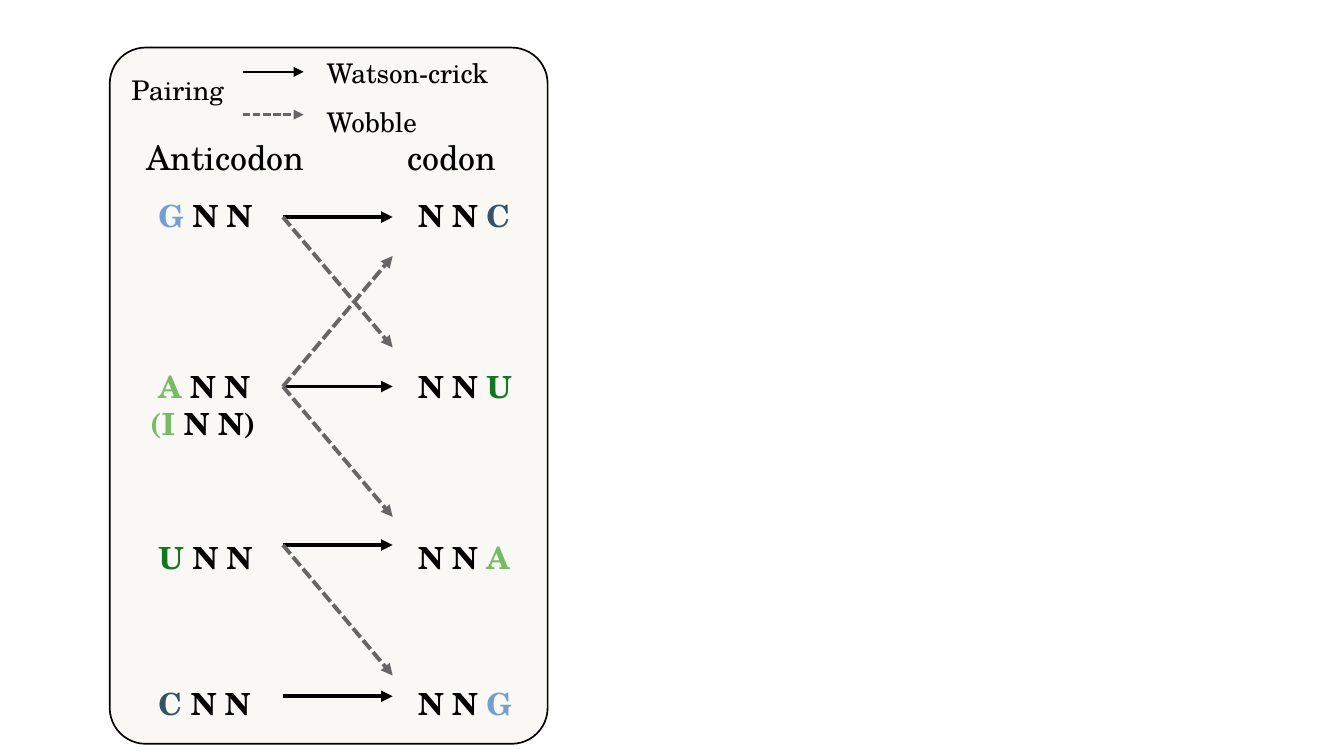
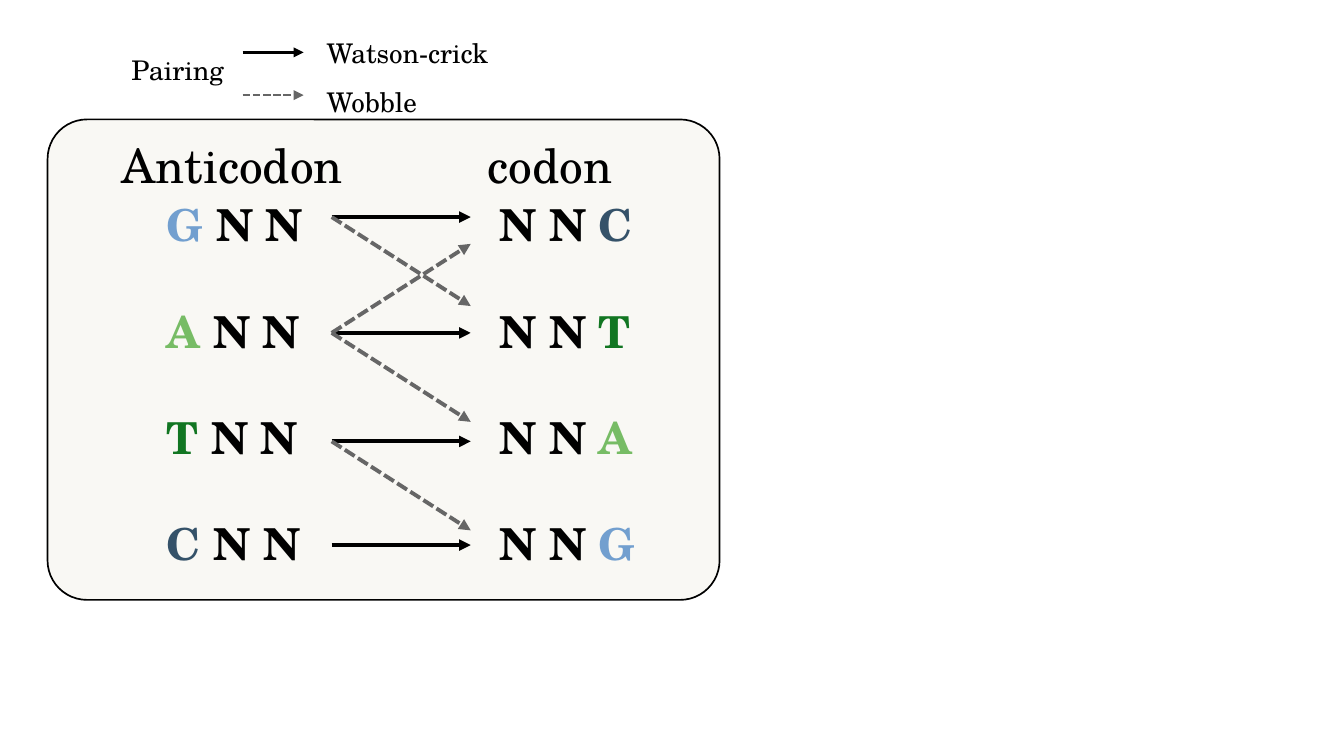
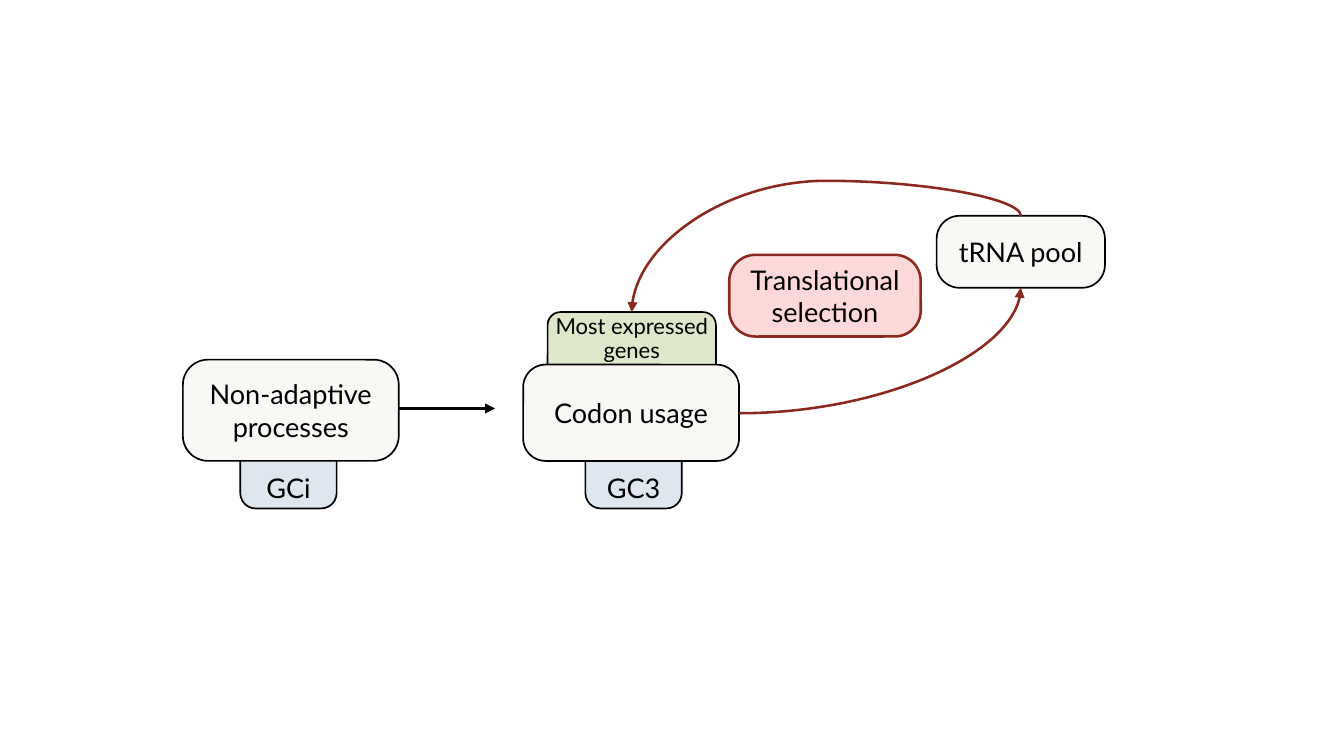
from dataclasses import dataclass

from lxml.etree import SubElement
from pptx import Presentation
from pptx.dml.color import RGBColor
from pptx.enum.dml import MSO_LINE
from pptx.enum.shapes import MSO_CONNECTOR, MSO_SHAPE
from pptx.enum.text import MSO_ANCHOR, PP_ALIGN
from pptx.oxml.ns import qn
from pptx.util import Inches, Pt

COLORS = {
    "ink": "000000", "wobble": "666666", "panel": "F9F8F4",
    "green": "DDE8CB", "blue": "DEE6EF", "pink": "FFD7D7", "red": "8D281E",
    "G": "729FCF", "C": "355269", "A": "77BC65", "I": "77BC65",
    "U": "127622", "T": "127622",
}
SERIF, SANS = "TeX Gyre Schola", "Lato"
# Row of the anticodon and direction of each wobble arrow
WOBBLES = [(0, 1), (1, 1), (1, -1), (2, 1)]


@dataclass
class PairingLayout:
    """Lengths in inches, measured from the panel's top left corner."""
    heading_xs: tuple
    heading_y: float
    heading_size: int
    triplet_xs: tuple
    triplet_size: int
    triplet_rows: list
    arrow_x: float
    arrow_width: float
    arrow_rows: list
    wobble_rise: float


def rgb(name):
    return RGBColor.from_string(COLORS[name])


def add_span(para, text, size, font, color="ink", bold=False):
    span = para.add_run()
    span.text = text
    span.font.size = Pt(size)
    span.font.name = font
    span.font.bold = bold
    span.font.color.rgb = rgb(color)


def add_text(page, x, y, width, height, lines, size, bold=False,
             spacing=None, anchor=MSO_ANCHOR.TOP):
    """Each line is a list of (text, color) runs."""
    box = page.shapes.add_textbox(*map(Inches, (x, y, width, height)))
    frame = box.text_frame
    frame.word_wrap = True
    frame.vertical_anchor = anchor
    for index, runs in enumerate(lines):
        para = frame.add_paragraph() if index else frame.paragraphs[0]
        if spacing:
            para.line_spacing = spacing
        for text, color in runs:
            add_span(para, text, size, SERIF, color, bold)


def add_box(page, x, y, width, height, fill, radius, lines=(), size=16,
            line="ink", line_width=1, anchor=MSO_ANCHOR.MIDDLE, margin=0.06,
            spacing=None):
    box = page.shapes.add_shape(
        MSO_SHAPE.ROUNDED_RECTANGLE, *map(Inches, (x, y, width, height)))
    box.adjustments[0] = radius
    box.shadow.inherit = False
    box.fill.solid()
    box.fill.fore_color.rgb = rgb(fill)
    box.line.color.rgb = rgb(line)
    box.line.width = Pt(line_width)
    frame = box.text_frame
    frame.word_wrap = False
    frame.vertical_anchor = anchor
    frame.margin_top = frame.margin_bottom = Inches(margin)
    for index, text in enumerate(lines):
        para = frame.add_paragraph() if index else frame.paragraphs[0]
        para.alignment = PP_ALIGN.CENTER
        if spacing:
            para.line_spacing = spacing
        add_span(para, text, size, SANS)
    return box


def add_arrow(page, start, end, color="ink", width=1.5, dashed=False,
              kind=MSO_CONNECTOR.STRAIGHT):
    arrow = page.shapes.add_connector(kind, *map(Inches, (*start, *end)))
    arrow.line.color.rgb = rgb(color)
    arrow.line.width = Pt(width)
    if dashed:
        arrow.line.dash_style = MSO_LINE.SQUARE_DOT
    properties = arrow.element.spPr
    SubElement(properties.find(qn("a:ln")), qn("a:tailEnd"), type="triangle")
    SubElement(properties, qn("a:effectLst"))
    return arrow


def add_curve(page, start, end, preset, rotation=0, bend=None):
    """Start and end are the corners before the rotation in degrees."""
    curve = add_arrow(page, start, end, "red", kind=MSO_CONNECTOR.CURVE)
    properties = curve.element.spPr
    geometry = properties.find(qn("a:prstGeom"))
    geometry.set("prst", preset)
    if rotation:
        properties.find(qn("a:xfrm")).set("rot", str(rotation * 60000))
    if bend is not None:
        SubElement(geometry.find(qn("a:avLst")), qn("a:gd"),
                   name="adj1", fmla=f"val {round(bend * 100000)}")


def add_legend(page, x, y):
    add_text(page, x, y, 1.03, 0.4, [[("Pairing", "ink")]], 16)
    add_text(page, x + 1.6, y - 0.27, 1.75, 1,
             [[("Watson-crick", "ink")], [("Wobble", "ink")]], 16, spacing=1.5)
    for rise, color in ((0.04, "ink"), (0.39, "wobble")):
        add_arrow(page, (x + 1.01, y + rise), (x + 1.51, y + rise), color,
                  dashed=color == "wobble")


def add_triplet(page, x, center, runs, size):
    height = size / 60 + 0.1
    add_text(page, x, center - height / 2, 1.51, height, [runs], size,
             bold=True, anchor=MSO_ANCHOR.MIDDLE)


def add_pairing(page, x, y, width, height, pairs, layout):
    """Panel of anticodon and codon triplets joined by pairing arrows."""
    add_box(page, x, y, width, height, "panel", 0.082)
    for left, title in zip(layout.heading_xs, ("Anticodon", "codon")):
        add_text(page, x + left, y + layout.heading_y, 2.2, 0.6,
                 [[(title, "ink")]], layout.heading_size)

    left, right = (x + offset for offset in layout.triplet_xs)
    for (first, third), row in zip(pairs, layout.triplet_rows):
        add_triplet(page, left, y + row, [(first, first), (" N N", "ink")],
                    layout.triplet_size)
        add_triplet(page, right, y + row, [("N N ", "ink"), (third, third)],
                    layout.triplet_size)

    start = x + layout.arrow_x
    end = start + layout.arrow_width
    rows = [y + row for row in layout.arrow_rows]
    for row in rows:
        add_arrow(page, (start, row), (end, row), width=2.3)
    for index, direction in WOBBLES:
        add_arrow(page, (start, rows[index]),
                  (end, rows[index] + direction * layout.wobble_rise),
                  "wobble", 2.3, dashed=True)


def add_tag(page, x, y, text):
    add_box(page, x, y, 0.79, 0.82, "blue", 0.16, [text],
            anchor=MSO_ANCHOR.BOTTOM, margin=0)


def add_selection_diagram(page, x, y):
    """Flow from non-adaptive processes to the codon usage and tRNA loop."""
    add_box(page, x + 2.99, y + 0.79, 1.38, 0.67, "green", 0.158,
            ["Most expressed", "genes"], 13, anchor=MSO_ANCHOR.TOP, margin=0,
            spacing=0.9)
    add_tag(page, x + 0.47, y + 1.58, "GCi")
    add_arrow(page, (x + 1.66, y + 1.58), (x + 2.56, y + 1.58))
    add_box(page, x, y + 1.18, 1.77, 0.83, "panel", 0.248,
            ["Non-adaptive", "processes"])
    add_tag(page, x + 3.3, y + 1.58, "GC3")
    add_box(page, x + 2.79, y + 1.22, 1.77, 0.79, "panel", 0.233,
            ["Codon usage"])
    add_box(page, x + 6.18, y, 1.38, 0.59, "panel", 0.318, ["tRNA pool"])
    add_curve(page, (x + 4.88, y - 1.2), (x + 5.67, y + 1.99),
              "curvedConnector3", rotation=90, bend=-0.364)
    selection = add_box(page, x + 4.48, y + 0.32, 1.57, 0.67, "pink", 0.318,
                        ["Translational", "selection"],
                        line="red", line_width=1.5)
    tint = selection.element.spPr.find(qn("a:solidFill")).find(qn("a:srgbClr"))
    SubElement(tint, qn("a:alpha"), val="93000")
    add_curve(page, (x + 4.56, y + 1.62), (x + 6.87, y + 0.59),
              "curvedConnector2")


def main():
    deck = Presentation()
    deck.slide_width, deck.slide_height = Inches(11.02), Inches(6.2)
    blank = deck.slide_layouts[6]

    rna = PairingLayout(
        heading_xs=(0.2, 2.34), heading_y=0.68, heading_size=20,
        triplet_xs=(0.3, 2.43), triplet_size=18,
        triplet_rows=[1.38, 2.78, 4.18, 5.38],
        arrow_x=1.42, arrow_width=0.9,
        arrow_rows=[1.39, 2.78, 4.08, 5.32], wobble_rise=1.07)
    page = deck.slides.add_slide(blank)
    add_pairing(page, 0.9, 0.39, 3.59, 5.71, ["GC", "AU", "UA", "CG"], rna)
    add_triplet(page, 1.13, 3.47,
                [("(I", "I"), (" N N)", "ink")], rna.triplet_size)
    add_legend(page, 0.98, 0.55)

    dna = PairingLayout(
        heading_xs=(0.51, 3.51), heading_y=0.09, heading_size=28,
        triplet_xs=(0.88, 3.61), triplet_size=26,
        triplet_rows=[0.86 + 0.87 * row for row in range(4)],
        arrow_x=2.33, arrow_width=1.14,
        arrow_rows=[0.8, 1.75, 2.64, 3.49], wobble_rise=0.73)
    page = deck.slides.add_slide(blank)
    add_pairing(page, 0.39, 0.98, 5.51, 3.94, ["GC", "AT", "TA", "CG"], dna)
    add_legend(page, 0.98, 0.39)

    page = deck.slides.add_slide(blank)
    add_selection_diagram(page, 1.5, 1.77)
    deck.save("out.pptx")


if __name__ == "__main__":
    main()
